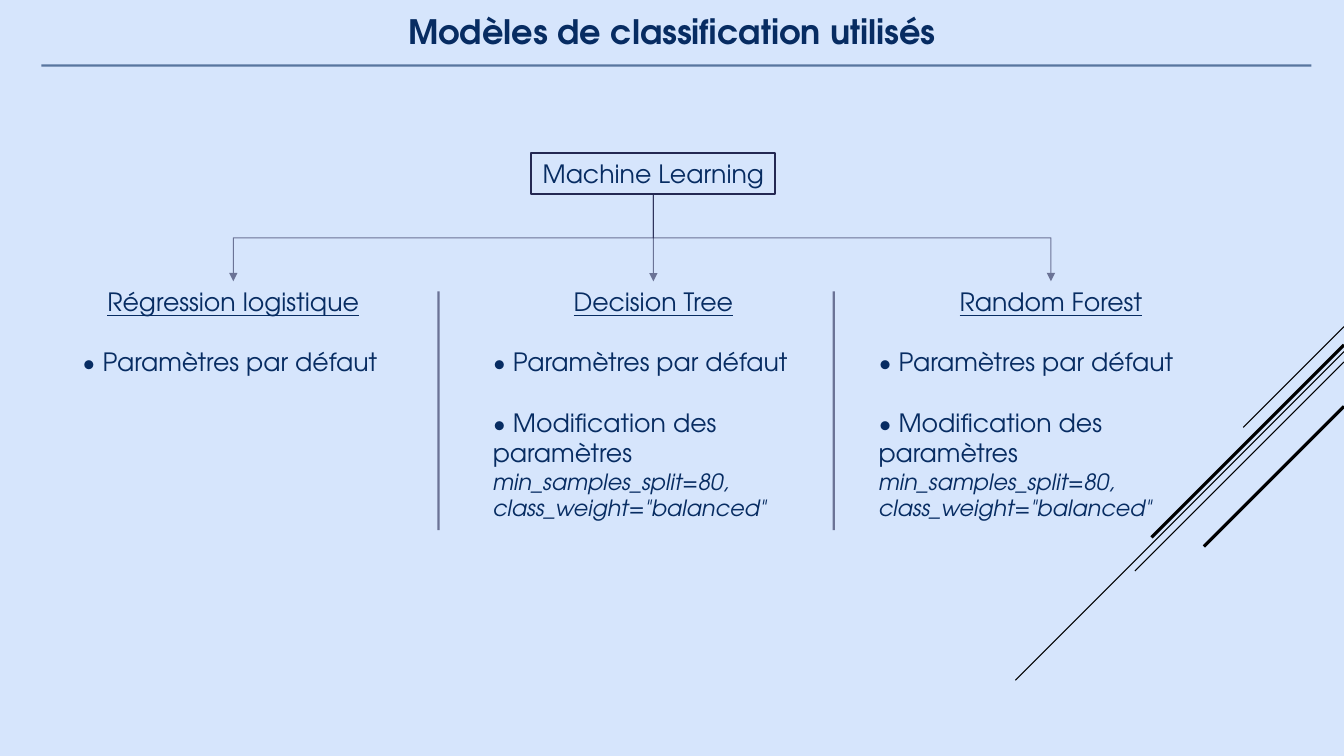
from typing import NamedTuple

from lxml import etree
from pptx import Presentation, util as u
from pptx.dml import color
from pptx.enum import shapes, text
from pptx.oxml import ns

FONT = "TeX Gyre Adventor"
NAVY, DARK, BLACK = "072C62", "242852", "000000"
WIDTH, HEIGHT = 33.87, 19.05
LINE, ELBOW = shapes.MSO_CONNECTOR.STRAIGHT, shapes.MSO_CONNECTOR.ELBOW
CENTER = text.PP_ALIGN.CENTER


class Para(NamedTuple):
    words: str
    size: int = 18
    gap: float = 0
    align: text.PP_ALIGN = text.PP_ALIGN.LEFT
    bold: bool = False
    italic: bool = False
    under: bool = False


class Model(NamedTuple):
    name: str
    left: float
    width: float
    height: float
    notes: tuple[Para, ...]


class Streak(NamedTuple):
    top: float
    run: float
    weight: float


def paint(target, value: str) -> None:
    target.rgb = color.RGBColor.from_string(value)


def write(shape, paras: list[Para], wrap: bool = True) -> None:
    frame = shape.text_frame
    frame.word_wrap = wrap
    frame.auto_size = text.MSO_AUTO_SIZE.SHAPE_TO_FIT_TEXT
    for i, para in enumerate(paras):
        p = frame.add_paragraph() if i else frame.paragraphs[0]
        p.text = para.words
        p.alignment = para.align
        p.space_before = u.Pt(para.gap)
        p.font.name, p.font.size = FONT, u.Pt(para.size)
        p.font.bold, p.font.italic = para.bold, para.italic
        p.font.underline = para.under
        paint(p.font.color, NAVY)


def add_text(slide, left: float, top: float, width: float, height: float,
             paras: list[Para]):
    box = slide.shapes.add_textbox(*map(u.Cm, (left, top, width, height)))
    write(box, paras)
    return box


def add_line(slide, x1: float, y1: float, x2: float, y2: float, tint: str,
             weight: float, alpha: int = 100, kind=LINE, arrow: bool = False):
    line = slide.shapes.add_connector(kind, *map(u.Cm, (x1, y1, x2, y2)))
    line.line.width = u.Pt(weight)
    line.line.fill.solid()
    paint(line.line.fill.fore_color, tint)
    props = line._element.spPr
    stroke = props.find(ns.qn("a:ln"))
    if alpha < 100:
        shade = stroke.find(".//" + ns.qn("a:srgbClr"))
        etree.SubElement(shade, ns.qn("a:alpha"), val=str(alpha * 1000))
    if arrow:
        etree.SubElement(stroke, ns.qn("a:tailEnd"), type="triangle")
    etree.SubElement(props, ns.qn("a:effectLst"))
    return line


def turn(line, x1: int, y1: int, x2: int, y2: int) -> None:
    """Make an elbow leave downwards, run sideways and arrive downwards."""
    drop, span = y2 - y1, abs(x2 - x1)
    line.left, line.top = (x1 + x2 - drop) // 2, (y1 + y2 - span) // 2
    line.width, line.height = drop, span
    frame = line._element.spPr.find(ns.qn("a:xfrm"))
    right = x2 > x1
    frame.set("rot", str((270 if right else 90) * 60000))
    frame.set("flipH", "1" if right else "0")
    frame.set("flipV", "0")


def link(slide, root, leaf) -> None:
    x1, y1 = root.left + root.width // 2, root.top + root.height
    x2, y2 = leaf.left + leaf.width // 2, leaf.top
    bent = abs(x2 - x1) > u.Cm(0.1)
    ends = (u.Emu(n).cm for n in (x1, y1, x2, y2))
    line = add_line(slide, *ends, DARK, 0.75, 60, ELBOW if bent else LINE, True)
    line.begin_connect(root, 2)
    line.end_connect(leaf, 0)
    if bent:
        turn(line, x1, y1, x2, y2)


BASE = Para("• Paramètres par défaut", gap=21.6)
TUNED = (
    BASE,
    Para("• Modification des paramètres", gap=21.6),
    Para('min_samples_split=80, class_weight="balanced"', 16, italic=True),
)
MODELS = [
    Model("Régression logistique", 1.83, 8.1, 2.57, (BASE,)),
    Model("Decision Tree", 12.17, 8.59, 6.4, TUNED),
    Model("Random Forest", 21.89, 9.19, 6.4, TUNED),
]
STREAKS = [
    Streak(8.23, 2.54, 0.75),
    Streak(8.86, 8.28, 0.75),
    Streak(9.12, 5.27, 0.75),
    Streak(8.69, 4.85, 2.25),
    Streak(10.24, 3.53, 2.25),
]


def main() -> None:
    deck = Presentation()
    deck.slide_width, deck.slide_height = u.Cm(WIDTH), u.Cm(HEIGHT)
    slide = deck.slides.add_slide(deck.slide_layouts[6])
    back = slide.background.fill
    back.solid()
    paint(back.fore_color, "D6E5FC")

    # Diagonal streaks, all at 45 degrees from the right edge
    for top, run, weight in STREAKS:
        add_line(slide, WIDTH, top, WIDTH - run, top + run, BLACK, weight)

    # Title and rule
    add_text(slide, 0, 0.15, WIDTH, 1.3, [
        Para("Modèles de classification utilisés", 24, align=CENTER, bold=True)])
    add_line(slide, 1.04, 1.65, 33.05, 1.65, NAVY, 1.5, 60)

    # Root box
    root = slide.shapes.add_shape(shapes.MSO_SHAPE.RECTANGLE,
                                  *map(u.Cm, (13.39, 3.86, 6.15, 1.04)))
    root.shadow.inherit = False
    root.fill.background()
    root.line.width = u.Pt(1.5)
    paint(root.line.color, DARK)
    write(root, [Para("Machine Learning", align=CENTER)], wrap=False)

    # Model columns and their arrows
    for model in MODELS:
        head = Para(model.name, align=CENTER, under=True)
        leaf = add_text(slide, model.left, 7.09, model.width, model.height,
                        [head, *model.notes])
        link(slide, root, leaf)

    # Column dividers
    for x in (11.05, 21.01):
        add_line(slide, x, 7.34, x, 13.36, DARK, 1.5, 60)

    deck.save("out.pptx")


if __name__ == "__main__":
    main()
